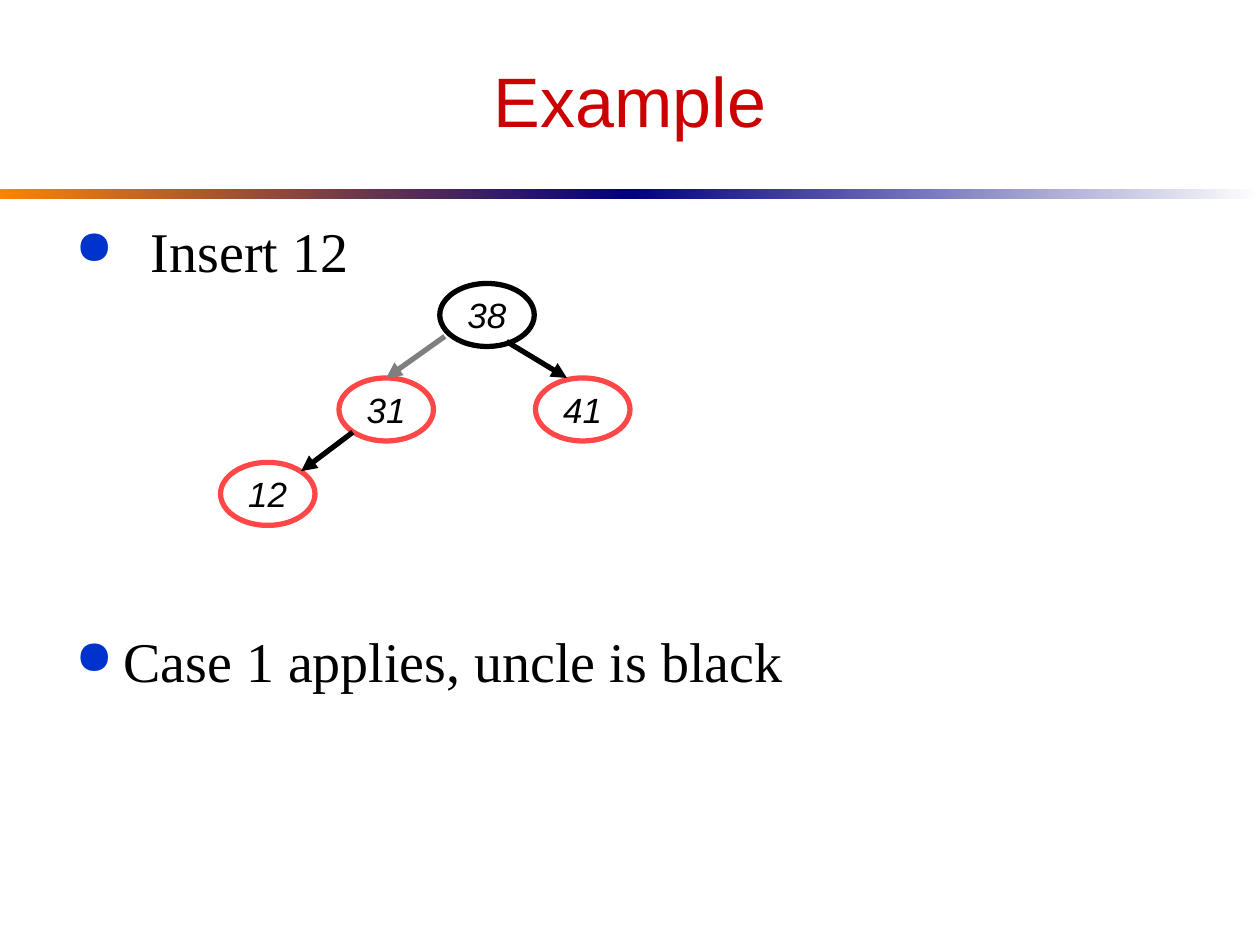
"""Build a slide that shows an insertion into a red-black tree."""
import pptx
import pptx.chart.data
import pptx.dml.color
import pptx.enum.shapes
import pptx.enum.text
import pptx.oxml
import pptx.oxml.ns
import pptx.util

Inches = pptx.util.Inches
Pt = pptx.util.Pt
SHAPE = pptx.enum.shapes.MSO_SHAPE
ALIGN = pptx.enum.text.PP_ALIGN
MIDDLE = pptx.enum.text.MSO_ANCHOR.MIDDLE

COLORS = {
    "title": "CC0000", "text": "000000", "bullet": "0033CC",
    "orange": "FF8200", "navy": "000082", "white": "FFFFFF",
    "red": "FF4747", "black": "000000", "gray": "7F7F7F",
}
TITLE = "Example"
BANDS = [(0, "orange", "navy"), (5, "navy", "white")]
POINTS = [("Insert 12", 0.6, 0), ("Case 1 applies, uncle is black", 0.38, 196)]
NODES = [
    ("41", 4.25, 3, "red"),
    ("38", 3.49, 2.25, "black"),
    ("31", 2.69, 3, "red"),
    ("12", 1.75, 3.67, "red"),
]
EDGES = [
    ((3.53, 2.67), (3.07, 3), "gray", "31"),
    ((4.02, 2.71), (4.5, 3), "black", None),
    ((2.8, 3.43), (2.39, 3.74), "black", None),
]


def color(name):
    return pptx.dml.color.RGBColor.from_string(COLORS[name])


def style(par, size, face, tone, italic=False):
    for run in par.runs:
        run.font.size = Pt(size)
        run.font.name = face
        run.font.italic = italic
        run.font.color.rgb = color(tone)


def add(parent, tag, **attrs):
    node = parent.makeelement(pptx.oxml.ns.qn(tag), attrs)
    parent.append(node)
    return node


def add_band(slide, left, start, end):
    band = slide.shapes.add_shape(
        SHAPE.RECTANGLE, Inches(left), Inches(1.5), Inches(5), Inches(0.08))
    band.shadow.inherit = False
    band.line.fill.background()
    band.fill.gradient()
    band.fill.gradient_angle = 0
    for stop, place, name in zip(band.fill.gradient_stops, (0, 1), (start, end)):
        stop.position = place
        stop.color.rgb = color(name)


def add_title(slide):
    title = slide.shapes.title
    title.left, title.top = Inches(0.5), Inches(0.25)
    title.width, title.height = Inches(9), Inches(1.08)
    frame = title.text_frame
    frame.text = TITLE
    frame.vertical_anchor = MIDDLE
    par = frame.paragraphs[0]
    par.alignment = ALIGN.CENTER
    style(par, 40, "Arial", "title")


def add_points(slide):
    box = slide.shapes.add_textbox(
        Inches(0.5), Inches(1.67), Inches(9), Inches(4.75))
    frame = box.text_frame
    frame.word_wrap = True
    frame.text = "\n".join(text for text, _, _ in POINTS)
    for par, (_, indent, gap) in zip(frame.paragraphs, POINTS):
        props = par._p.get_or_add_pPr()
        props.set("marL", str(Inches(indent)))
        props.set("indent", str(-Inches(indent)))
        tint = add(props, "a:buClr")
        add(tint, "a:srgbClr", val=COLORS["bullet"])
        add(props, "a:buSzPct", val="85000")
        add(props, "a:buChar", char="●")
        par.space_before = Pt(gap)
        style(par, 32, "Times New Roman", "text")


def add_node(slide, label, left, top, tone):
    oval = slide.shapes.add_shape(
        SHAPE.OVAL, Inches(left), Inches(top), Inches(0.75), Inches(0.5))
    oval.shadow.inherit = False
    oval.fill.solid()
    oval.fill.fore_color.rgb = color("white")
    oval.line.color.rgb = color(tone)
    oval.line.width = Pt(3)
    frame = oval.text_frame
    frame.word_wrap = False
    frame.vertical_anchor = MIDDLE
    frame.text = label
    par = frame.paragraphs[0]
    par.alignment = ALIGN.CENTER
    style(par, 20, "Arial", "text", True)
    return oval


def add_edge(slide, start, end, tone, goal):
    edge = slide.shapes.add_connector(
        pptx.enum.shapes.MSO_CONNECTOR.STRAIGHT,
        *(Inches(value) for value in start + end))
    if goal:
        edge.end_connect(goal, 0)
    edge.line.color.rgb = color(tone)
    edge.line.width = Pt(3)
    add(edge.line._get_or_add_ln(), "a:tailEnd", type="triangle")
    add(edge._element.spPr, "a:effectLst")


def main():
    deck = pptx.Presentation()
    deck.slide_width, deck.slide_height = Inches(10), Inches(7.5)
    slide = deck.slides.add_slide(deck.slide_layouts[5])
    for band in BANDS:
        add_band(slide, *band)
    add_title(slide)
    add_points(slide)
    ovals = {node[0]: add_node(slide, *node) for node in NODES}
    for start, end, tone, goal in EDGES:
        add_edge(slide, start, end, tone, ovals.get(goal))
    deck.save("out.pptx")


if __name__ == "__main__":
    main()
